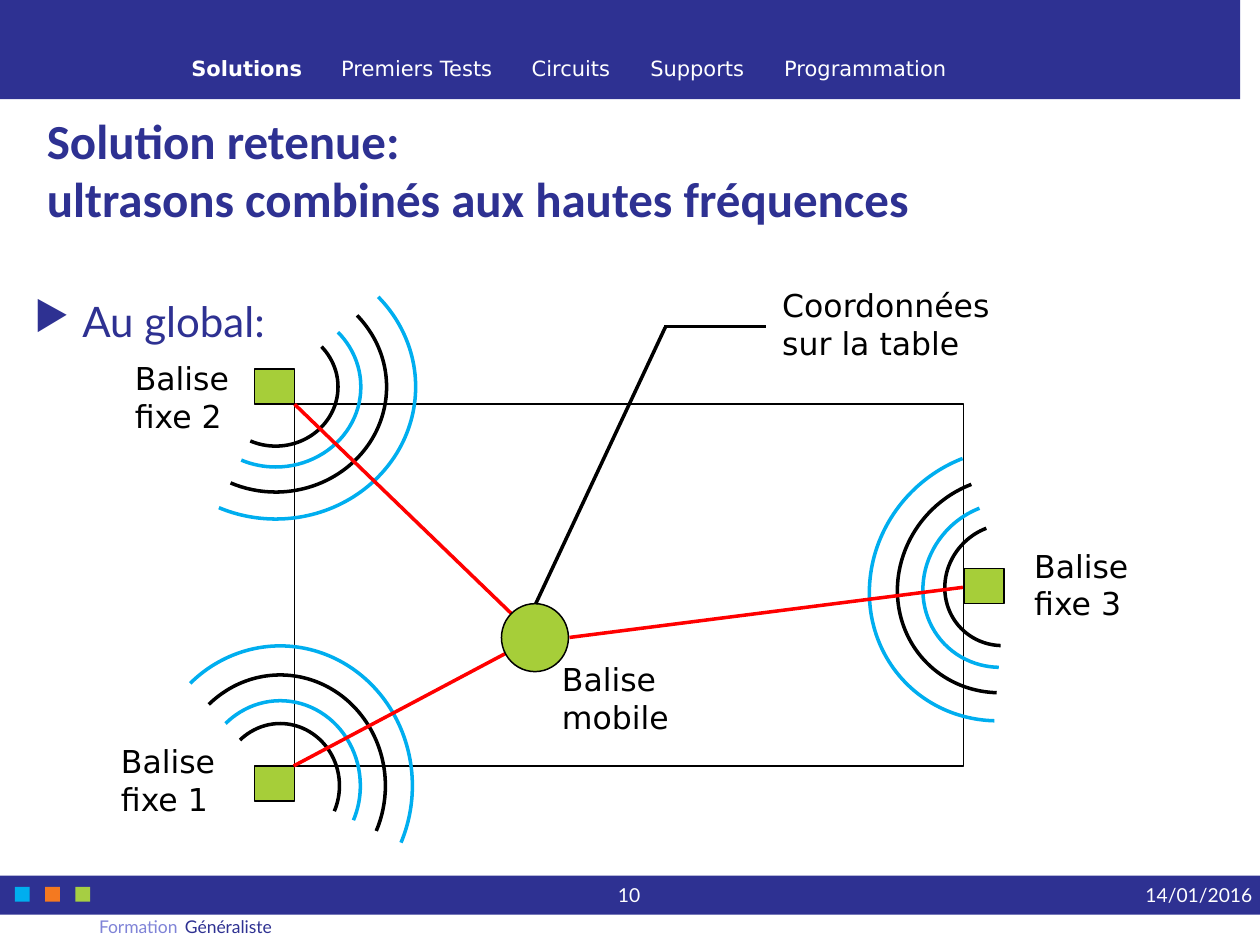
from typing import NamedTuple

from lxml import etree
from pptx import Presentation
from pptx.dml.color import RGBColor
from pptx.enum import shapes, text
from pptx.oxml import ns
from pptx.util import Cm, Pt

HUES = {
    "navy": "2E3192", "lilac": "7F83D7", "sky": "00AEEF", "orange": "F47920",
    "lime": "A6CE43", "green": "A6CE39", "red": "FF0000",
    "black": "000000", "white": "FFFFFF",
}
KIND = shapes.MSO_SHAPE
ALIGN = text.PP_ALIGN
MIDDLE = text.MSO_ANCHOR.MIDDLE


class Box(NamedTuple):
    x: float
    y: float
    w: float
    h: float


class Beacon(NamedTuple):
    x: float
    y: float
    wave_x: float
    wave_y: float
    turn: float


class Label(NamedTuple):
    words: str
    x: float
    y: float
    w: float = 2.41


class Link(NamedTuple):
    x1: float
    y1: float
    x2: float
    y2: float
    hue: str


TABS = [("Solutions", 3.86), ("Premiers Tests", 6.88), ("Circuits", 10.72),
        ("Supports", 13.11), ("Programmation", 15.81)]
BEACONS = [Beacon(5.13, 7.44, 5.56, 7.8, 0),
           Beacon(5.13, 15.44, 5.65, 15.84, 270),
           Beacon(19.43, 11.46, 20.27, 11.79, 136)]
WAVES = [(2.51, 2.39, "black"), (3.43, 3.23, "sky"),
         (4.47, 4.24, "black"), (5.64, 5.33, "sky")]
ARC_FROM, ARC_TO = 318.7, 115.19
ARC_UNIT = 0.6  # adjustment value of one degree
LINKS = [Link(5.94, 8.15, 10.31, 12.37, "red"),
         Link(5.92, 15.44, 10.46, 13.03, "red"),
         Link(11.48, 12.85, 19.41, 11.84, "red")]
LEADER = [Link(10.8, 12.17, 13.41, 6.6, "black"),
          Link(13.39, 6.58, 15.44, 6.58, "black")]
LABELS = [Label("Balise fixe 1", 2.44, 14.96), Label("Balise fixe 2", 2.72, 7.24),
          Label("Balise fixe 3", 20.85, 11.02), Label("Balise mobile", 11.33, 13.31),
          Label("Coordonnées sur la table", 15.77, 5.77, 4.45)]


def rgb(hue: str) -> RGBColor:
    return RGBColor.from_string(HUES[hue])


def paint(shape, fill: str | None = None, line: str | None = None, width: float = 0.85):
    shape.shadow.inherit = False
    if fill:
        shape.fill.solid()
        shape.fill.fore_color.rgb = rgb(fill)
    else:
        shape.fill.background()
    if line:
        shape.line.color.rgb = rgb(line)
        shape.line.width = Pt(width)
    else:
        shape.line.fill.background()
    return shape


def draw(slide, kind, box: Box, **look):
    return paint(slide.shapes.add_shape(kind, *map(Cm, box)), **look)


def style(par, font: str, size: float, hue: str, bold: bool = False) -> None:
    par.font.name = font
    par.font.size = Pt(size)
    par.font.bold = bold
    par.font.color.rgb = rgb(hue)


def write(slide, words: str, box: Box, *, font: str = "Lato", size: float = 11,
          hue: str = "white", bold: bool = False, align=ALIGN.LEFT,
          anchor=text.MSO_ANCHOR.TOP, wrap: bool = False, top: float = 0,
          bullet: bool = False):
    frame = slide.shapes.add_textbox(*map(Cm, box)).text_frame
    frame.margin_left = frame.margin_right = frame.margin_bottom = 0
    frame.margin_top = Cm(top)
    frame.word_wrap = wrap
    frame.vertical_anchor = anchor
    par = frame.paragraphs[0]
    par.text = words
    par.alignment = align
    if bullet:
        mark(par)
    style(par, font, size, hue, bold)


def mark(par) -> None:
    """Give the paragraph a hanging triangle bullet."""
    props = par._p.get_or_add_pPr()
    props.set("marL", str(Cm(0.97)))
    props.set("indent", str(-Cm(0.97)))
    color = etree.SubElement(props, ns.qn("a:buClr"))
    etree.SubElement(color, ns.qn("a:srgbClr"), val=HUES["navy"])
    etree.SubElement(props, ns.qn("a:buSzPct"), val="95000")
    etree.SubElement(props, ns.qn("a:buChar"), char="▶")


def join(slide, link: Link) -> None:
    line = slide.shapes.add_connector(shapes.MSO_CONNECTOR.STRAIGHT, *map(Cm, link[:4]))
    line.line.color.rgb = rgb(link.hue)
    line.line.width = Pt(2)
    etree.SubElement(line._element.spPr, ns.qn("a:effectLst"))


def pulse(slide, beacon: Beacon) -> None:
    """Draw the waves sent out by a beacon."""
    for w, h, hue in WAVES:
        box = Box(beacon.wave_x - w / 2, beacon.wave_y - h / 2, w, h)
        arc = draw(slide, KIND.ARC, box, line=hue, width=2)
        arc.adjustments[0] = ARC_FROM * ARC_UNIT
        arc.adjustments[1] = ARC_TO * ARC_UNIT
        arc.rotation = beacon.turn


def header(slide) -> None:
    pen = slide.shapes.build_freeform(0, 0, scale=Cm(1))
    pen.add_line_segments([(25.4, 0), (25.4, 2.31), (4.75, 2.31), (4.37, 1.93),
                           (3.96, 2.31), (0, 2.31)])
    paint(pen.convert_to_shape(), fill="navy")
    for i, (words, x) in enumerate(TABS):
        write(slide, words, Box(x, 0.99, 3.5, 0.76), font="DejaVu Sans", size=12,
              bold=i == 0, anchor=MIDDLE)


def footer(slide) -> None:
    draw(slide, KIND.RECTANGLE, Box(0, 17.65, 25.4, 0.79), fill="navy")
    for i, hue in enumerate(("sky", "orange", "lime")):
        draw(slide, KIND.RECTANGLE, Box(0.3 + 0.61 * i, 17.88, 0.3, 0.3), fill=hue)
    write(slide, "Généraliste", Box(3.73, 18.47, 12.7, 0.61), size=10, hue="navy")
    write(slide, "Formation", Box(0, 18.47, 3.58, 0.61), size=10, hue="lilac",
          align=ALIGN.RIGHT, wrap=True)
    write(slide, "14/01/2016", Box(20.83, 17.65, 4.42, 0.79), align=ALIGN.RIGHT,
          anchor=MIDDLE, wrap=True)
    write(slide, "10", Box(11.73, 17.65, 1.91, 0.79), align=ALIGN.CENTER,
          anchor=MIDDLE, wrap=True)


def title(slide) -> None:
    head = slide.shapes.title
    head.left, head.top, head.width, head.height = map(Cm, (0.69, 2.72, 24.03, 1.37))
    frame = head.text_frame
    frame.text = "Solution retenue:\vultrasons combinés aux hautes fréquences"
    frame.auto_size = text.MSO_AUTO_SIZE.NONE
    frame.vertical_anchor = MIDDLE
    frame.paragraphs[0].alignment = ALIGN.LEFT
    style(frame.paragraphs[0], "Calibri", 28, "navy", bold=True)


def scheme(slide) -> None:
    draw(slide, KIND.RECTANGLE, Box(5.94, 8.15, 13.49, 7.29), line="black")
    for beacon in BEACONS:
        draw(slide, KIND.RECTANGLE, Box(beacon.x, beacon.y, 0.81, 0.71),
             fill="green", line="black")
    for beacon in BEACONS:
        pulse(slide, beacon)
    for link in LINKS:
        join(slide, link)
    draw(slide, KIND.OVAL, Box(10.11, 12.17, 1.35, 1.37), fill="green", line="black")
    for link in LEADER:
        join(slide, link)
    for label in LABELS:
        write(slide, label.words, Box(label.x, label.y, label.w, 1.55),
              font="DejaVu Sans", size=18, hue="black", wrap=True)


def main() -> None:
    deck = Presentation()
    deck.slide_width, deck.slide_height = Cm(25.4), Cm(19.05)
    slide = deck.slides.add_slide(deck.slide_layouts[5])
    header(slide)
    footer(slide)
    title(slide)
    write(slide, "Au global:", Box(0.69, 4.83, 24.03, 12.52), size=24, hue="navy",
          wrap=True, top=1.24, bullet=True)
    scheme(slide)
    deck.save("out.pptx")


if __name__ == "__main__":
    main()
